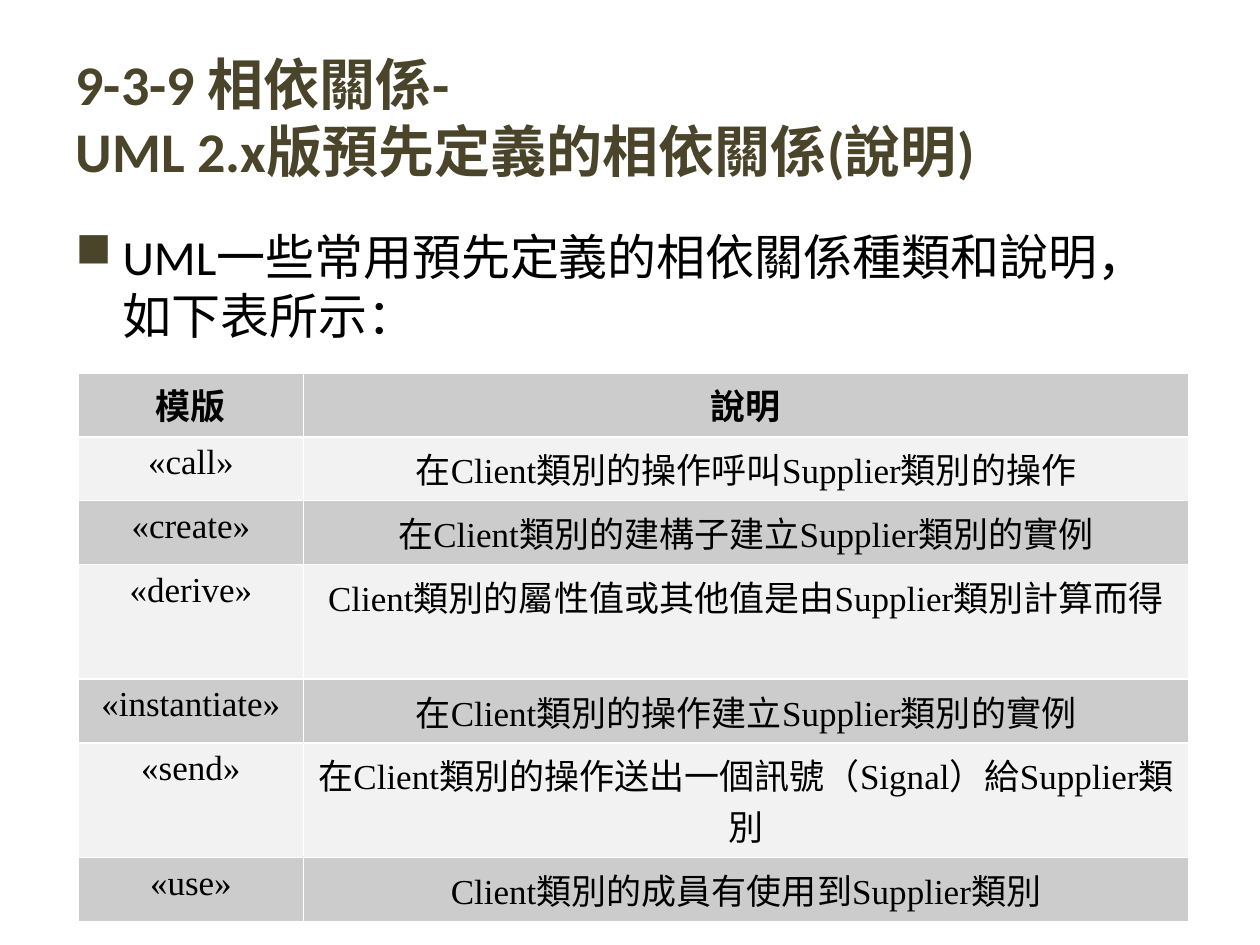
from copy import deepcopy
from lxml.etree import SubElement
from pptx import Presentation
from pptx.dml.color import RGBColor
from pptx.enum.text import MSO_ANCHOR, PP_ALIGN
from pptx.oxml.ns import qn
from pptx.util import Pt

COLORS = {"olive": "4A452A", "ink": "000000", "white": "FFFFFF",
          "dark": "CCCCCC", "light": "F2F2F2"}
FORMATS = {
    "title": {"name": "Calibri", "size": Pt(32), "bold": True},
    "body": {"name": "Calibri", "size": Pt(28), "bold": False},
    "head": {"name": "Times New Roman", "size": Pt(20), "bold": True},
    "cell": {"name": "Times New Roman", "size": Pt(20), "bold": False},
}
ROWS = [
    ("模版", "說明"),
    ("«call»", "在Client類別的操作呼叫Supplier類別的操作"),
    ("«create»", "在Client類別的建構子建立Supplier類別的實例"),
    ("«derive»", "Client類別的屬性值或其他值是由Supplier類別計算而得"),
    ("«instantiate»", "在Client類別的操作建立Supplier類別的實例"),
    ("«send»", "在Client類別的操作送出一個訊號（Signal）給Supplier類別"),
    ("«use»", "Client類別的成員有使用到Supplier類別"),
]
WIDTHS = [129, 505.5]
HEIGHTS = [36.5, 36.5, 36.5, 65.5, 36.5, 65.5, 36.5]


def style(para, kind, color, align):
    para.alignment = align
    for run in para.runs:
        for key, value in FORMATS[kind].items():
            setattr(run.font, key, value)
        run.font.color.rgb = RGBColor.from_string(COLORS[color])


def border(cell):
    props = cell._tc.get_or_add_tcPr()
    for side in ("lnL", "lnR", "lnT", "lnB"):
        line = SubElement(props, qn(f"a:{side}"), w=str(Pt(0.96)))
        fill = SubElement(line, qn("a:solidFill"))
        SubElement(fill, qn("a:srgbClr"), val=COLORS["white"])


prs = Presentation()
prs.slide_width, prs.slide_height = Pt(720), Pt(540)
slide = prs.slides.add_slide(prs.slide_layouts[5])

title = slide.shapes.title
title.left, title.top, title.width, title.height = Pt(36), Pt(21.6), Pt(648), Pt(90)
title.text_frame.vertical_anchor = MSO_ANCHOR.MIDDLE
para = title.text_frame.paragraphs[0]
para.text = "9-3-9 相依關係-\vUML 2.x版預先定義的相依關係(說明)"
style(para, "title", "olive", PP_ALIGN.LEFT)
for brk in para._p.findall(qn("a:br")):
    brk.append(deepcopy(para.runs[0]._r.rPr))

body = slide.shapes.add_textbox(Pt(36), Pt(126), Pt(648), Pt(80))
body.text_frame.word_wrap = True
para = body.text_frame.paragraphs[0]
para.text = "UML一些常用預先定義的相依關係種類和說明，如下表所示："
props = para._p.get_or_add_pPr()
props.set("marL", str(Pt(27)))
props.set("indent", str(Pt(-27)))
tint = SubElement(props, qn("a:buClr"))
SubElement(tint, qn("a:srgbClr"), val=COLORS["olive"])
SubElement(props, qn("a:buChar"), char="■")
style(para, "body", "ink", PP_ALIGN.LEFT)

frame = slide.shapes.add_table(len(ROWS), len(WIDTHS), Pt(44.6), Pt(213.1),
                               Pt(sum(WIDTHS)), Pt(sum(HEIGHTS)))
table = frame.table
for col, width in zip(table.columns, WIDTHS):
    col.width = Pt(width)
for i, (row, height, texts) in enumerate(zip(table.rows, HEIGHTS, ROWS)):
    row.height = Pt(height)
    for cell, text in zip(row.cells, texts):
        border(cell)
        cell.fill.solid()
        shade = COLORS["light" if i % 2 else "dark"]
        cell.fill.fore_color.rgb = RGBColor.from_string(shade)
        para = cell.text_frame.paragraphs[0]
        para.text = text
        style(para, "cell" if i else "head", "ink", PP_ALIGN.CENTER)

prs.save("out.pptx")
